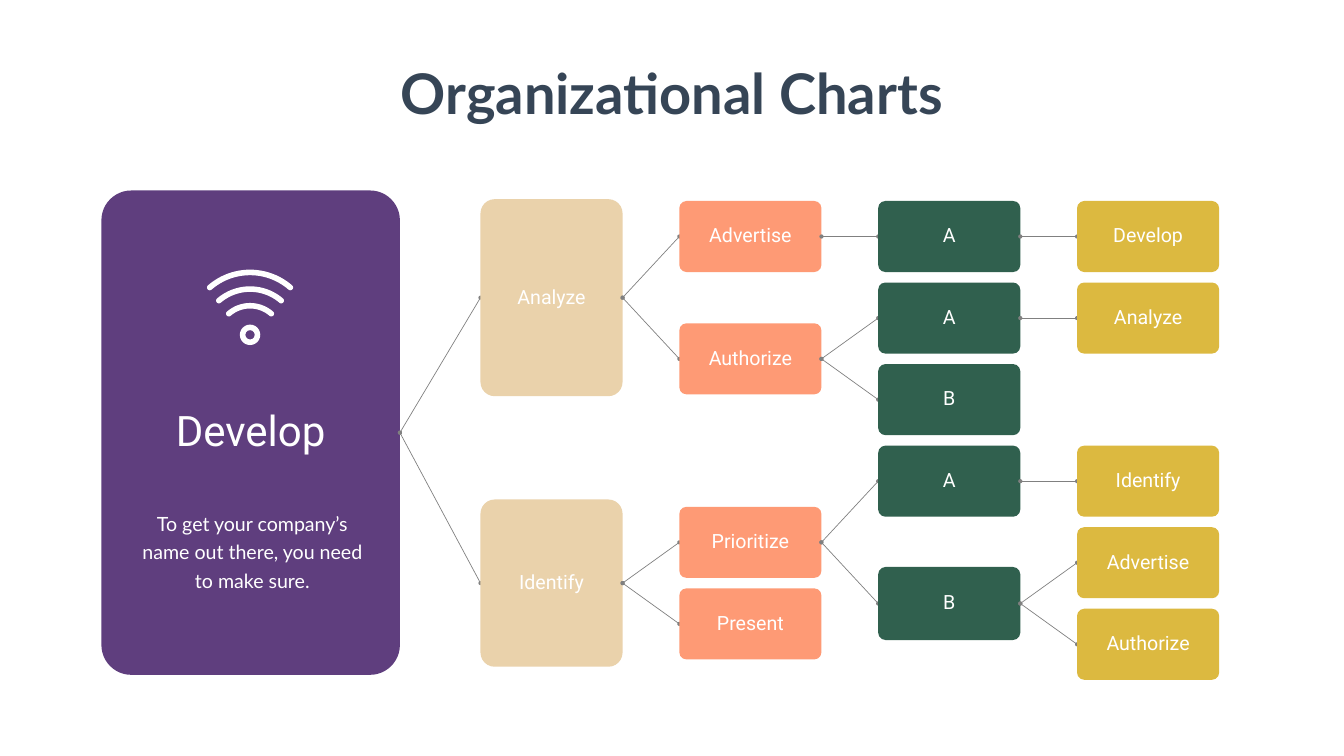
import math

import pptx
import pptx.dml.color
import pptx.enum.shapes
import pptx.enum.text
import pptx.oxml
import pptx.oxml.ns
import pptx.util
from pptx.util import Cm

PURPLE = pptx.dml.color.RGBColor(0x5F, 0x3E, 0x7E)
SAND = pptx.dml.color.RGBColor(0xEA, 0xD2, 0xAB)
CORAL = pptx.dml.color.RGBColor(0xFE, 0x9A, 0x75)
GREEN = pptx.dml.color.RGBColor(0x30, 0x60, 0x4E)
MUSTARD = pptx.dml.color.RGBColor(0xDC, 0xB9, 0x40)
GRAY = pptx.dml.color.RGBColor(0x80, 0x80, 0x80)
NAVY = pptx.dml.color.RGBColor(0x36, 0x45, 0x56)
WHITE = pptx.dml.color.RGBColor(0xFF, 0xFF, 0xFF)

LEVEL_COLORS = [SAND, CORAL, GREEN, MUSTARD]
FIRST_COLUMN, COLUMN_STEP, NODE_WIDTH = 24.21, 10.02, 7.16
FIRST_ROW_MIDDLE, ROW_STEP, NODE_HEIGHT = 11.92, 4.11, 3.58
RIGHT_SIDE, LEFT_SIDE = 3, 1
ICON_MIDDLE = 12.6

# Each node is (label, row, height, children).
BRANCHES = [
    ("Analyze", 0.75, 9.93, [
        ("Advertise", 0, NODE_HEIGHT, [
            ("A", 0, NODE_HEIGHT, [("Develop", 0, NODE_HEIGHT, [])]),
        ]),
        ("Authorize", 1.5, NODE_HEIGHT, [
            ("A", 1, NODE_HEIGHT, [("Analyze", 1, NODE_HEIGHT, [])]),
            ("B", 2, NODE_HEIGHT, []),
        ]),
    ]),
    ("Identify", 4.25, 8.43, [
        ("Prioritize", 3.75, NODE_HEIGHT, [
            ("A", 3, NODE_HEIGHT, [("Identify", 3, NODE_HEIGHT, [])]),
            ("B", 4.5, 3.68, [
                ("Advertise", 4, NODE_HEIGHT, []),
                ("Authorize", 5, NODE_HEIGHT, []),
            ]),
        ]),
        ("Present", 4.75, NODE_HEIGHT, []),
    ]),
]


def paint(shape, color):
    """Give a shape a plain fill without outline or shadow."""
    shape.shadow.inherit = False
    shape.fill.solid()
    shape.fill.fore_color.rgb = color
    shape.line.fill.background()


def write(frame, text, size, font_name, color, bold=False, spacing=None):
    """Put one centred run into a text frame."""
    para = frame.paragraphs[0]
    para.alignment = pptx.enum.text.PP_ALIGN.CENTER
    if spacing is not None:
        para.line_spacing = spacing
    span = para.add_run()
    span.text = text
    span.font.size = pptx.util.Pt(size)
    span.font.name = font_name
    span.font.bold = bold
    span.font.color.rgb = color


def add_card(page, left, top, width, height, color, text, size):
    """Add a rounded rectangle with a centred label."""
    card = page.shapes.add_shape(
        pptx.enum.shapes.MSO_SHAPE.ROUNDED_RECTANGLE,
        Cm(left), Cm(top), Cm(width), Cm(height))
    card.adjustments[0] = 0.1
    paint(card, color)
    frame = card.text_frame
    frame.word_wrap = True
    frame.vertical_anchor = pptx.enum.text.MSO_ANCHOR.MIDDLE
    frame.margin_left = frame.margin_right = Cm(0.05)
    frame.margin_top = frame.margin_bottom = Cm(0.05)
    write(frame, text, size, "Roboto", WHITE, spacing=0.9)
    return card


def add_link(page, parent):
    """Start a thin connector with oval ends at the parent's right side."""
    link = page.shapes.add_connector(
        pptx.enum.shapes.MSO_CONNECTOR.STRAIGHT, 0, 0, 0, 0)
    link.begin_connect(parent, RIGHT_SIDE)
    link.line.color.rgb = GRAY
    link.line.width = pptx.util.Pt(1)
    outline = link.line._get_or_add_ln()
    for end in ("a:headEnd", "a:tailEnd"):
        mark = pptx.oxml.parse_xml(
            f'<{end} {pptx.oxml.ns.nsdecls("a")} type="oval"/>')
        outline.append(mark)
    link._element.spPr.append(pptx.oxml.parse_xml(
        f'<a:effectLst {pptx.oxml.ns.nsdecls("a")}/>'))
    return link


def add_branches(page, parent, nodes, level=0):
    """Add the nodes below a parent, level by level to the right."""
    for label, row, height, children in nodes:
        link = add_link(page, parent)
        left = FIRST_COLUMN + level * COLUMN_STEP
        top = FIRST_ROW_MIDDLE + row * ROW_STEP - height / 2
        card = add_card(page, left, top, NODE_WIDTH, height,
                        LEVEL_COLORS[level], label, 28)
        link.end_connect(card, LEFT_SIDE)
        add_branches(page, card, children, level + 1)


def arc_points(center_x, center_y, radius, start, end, steps=24):
    """Return points along a circular arc, with angles in radians."""
    angles = [start + (end - start) * step / steps for step in range(steps + 1)]
    return [(center_x + radius * math.cos(angle), center_y + radius * math.sin(angle))
            for angle in angles]


def add_wave(page, apex, half_width, rise, thickness=0.28):
    """Add a curved band with round ends as one signal wave."""
    radius = (half_width ** 2 + rise ** 2) / (2 * rise)
    center_y = apex + radius
    spread = math.asin(half_width / radius)
    start, end = -math.pi / 2 - spread, -math.pi / 2 + spread
    cap = thickness / 2
    right_x, left_x = ICON_MIDDLE + half_width, ICON_MIDDLE - half_width
    points = arc_points(ICON_MIDDLE, center_y, radius + cap, start, end)
    points += arc_points(right_x, apex + rise, cap, end, end + math.pi, 8)
    points += arc_points(ICON_MIDDLE, center_y, radius - cap, end, start)
    points += arc_points(left_x, apex + rise, cap, start + math.pi, start + 2 * math.pi, 8)
    corners = [(Cm(x), Cm(y)) for x, y in points]
    builder = page.shapes.build_freeform(*corners[0])
    builder.add_line_segments(corners[1:], close=True)
    paint(builder.convert_to_shape(), WHITE)


def add_signal_icon(page):
    """Add three waves above a ring."""
    for apex, half_width, rise in [(13.73, 2.03, 0.76), (14.57, 1.57, 0.58),
                                   (15.41, 1.07, 0.4)]:
        add_wave(page, apex, half_width, rise)
    size = 1.03
    ring = page.shapes.add_shape(
        pptx.enum.shapes.MSO_SHAPE.DONUT,
        Cm(ICON_MIDDLE - size / 2), Cm(16.36), Cm(size), Cm(size))
    ring.adjustments[0] = 0.27
    paint(ring, WHITE)


def add_text(page, left, top, width, height, text, size, color, wrap=True,
             bold=False, spacing=None):
    """Add a centred text box."""
    box = page.shapes.add_textbox(Cm(left), Cm(top), Cm(width), Cm(height))
    box.text_frame.word_wrap = wrap
    write(box.text_frame, text, size, "Lato", color, bold, spacing)


def main():
    """Build the organizational chart slide."""
    deck = pptx.Presentation()
    deck.slide_width, deck.slide_height = Cm(67.72), Cm(38.1)
    page = deck.slides.add_slide(deck.slide_layouts[6])
    panel = add_card(page, 5.11, 9.6, 15.04, 24.41, PURPLE, "Develop", 60)
    add_branches(page, panel, BRANCHES)
    add_text(page, 6.43, 25.4, 12.57, 4.5,
             "To get your company’s name out there, you need to make sure.",
             28, WHITE, spacing=pptx.util.Pt(40.8))
    add_signal_icon(page)
    add_text(page, 19.56, 2.84, 28.6, 3.68, "Organizational Charts", 80, NAVY,
             wrap=False, bold=True)
    deck.save("out.pptx")


if __name__ == "__main__":
    main()
